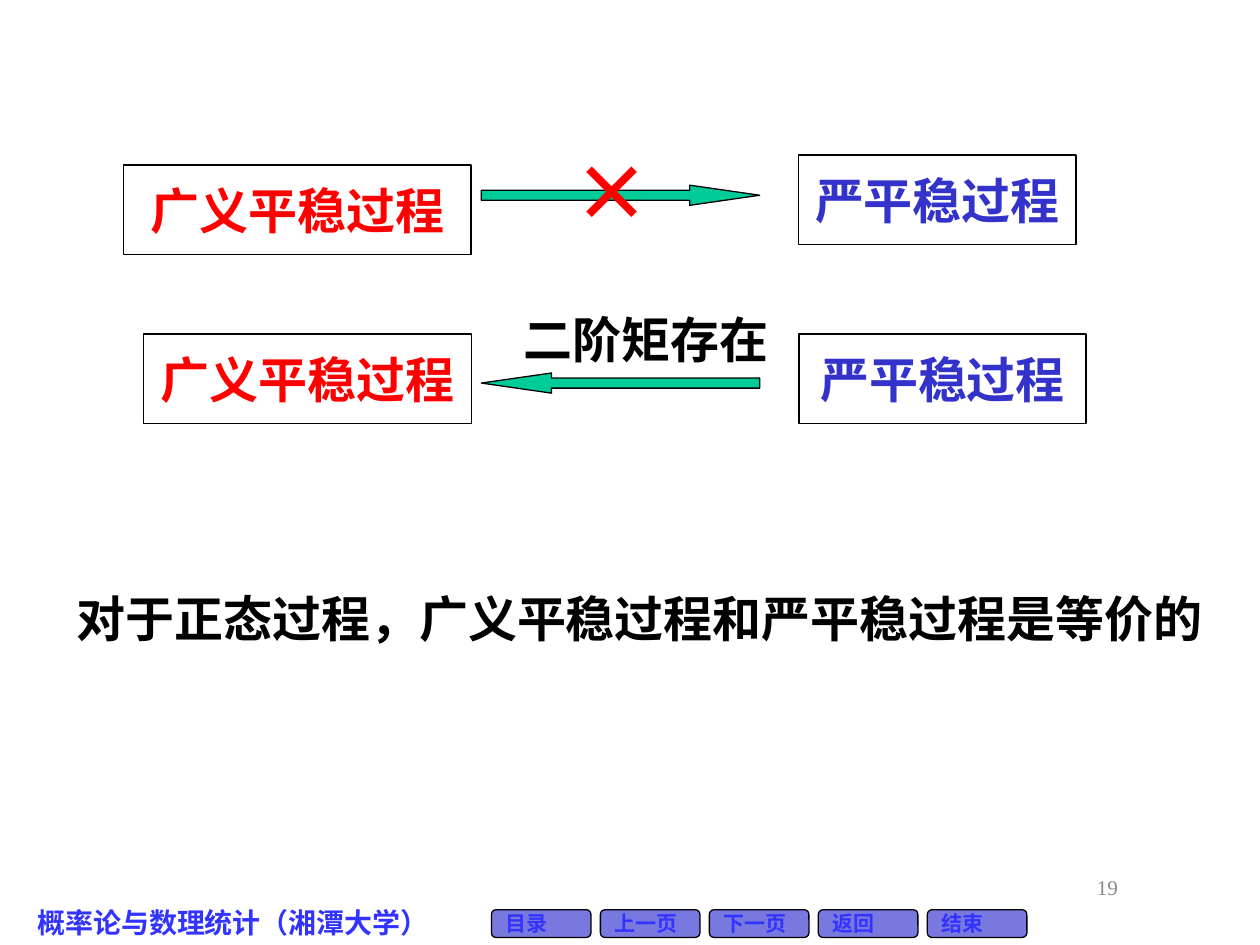
from lxml import etree
from pptx import Presentation
from pptx.dml.color import RGBColor
from pptx.enum.shapes import MSO_SHAPE
from pptx.enum.text import MSO_ANCHOR, PP_ALIGN
from pptx.oxml.ns import qn
from pptx.util import Inches, Pt

RECT, ARROW = MSO_SHAPE.RECTANGLE, MSO_SHAPE.RIGHT_ARROW
PILL = MSO_SHAPE.FLOWCHART_ALTERNATE_PROCESS
TOP, MID = MSO_ANCHOR.TOP, MSO_ANCHOR.MIDDLE
LEFT, MIDDLE, RIGHT = PP_ALIGN.LEFT, PP_ALIGN.CENTER, PP_ALIGN.RIGHT

BLACK = RGBColor(0x00, 0x00, 0x00)
RED = RGBColor(0xFF, 0x00, 0x00)
BLUE = RGBColor(0x33, 0x33, 0xCC)
LINK = RGBColor(0x33, 0x33, 0xFF)
LILAC = RGBColor(0x78, 0x78, 0xDE)
GREEN = RGBColor(0x00, 0xCC, 0x99)
GRAY = RGBColor(0x89, 0x89, 0x89)
HAN, ROMAN = "Noto Sans CJK SC", "Times New Roman"

# Content: places are left, top, width, height in inches
WIDE, STRICT = "广义平稳过程", "严平稳过程"
BOXES = [
    (WIDE, RED, (0.98, 1.31, 2.76, 0.71)),
    (STRICT, BLUE, (6.34, 1.23, 2.2, 0.71)),
    (WIDE, RED, (1.14, 2.65, 2.6, 0.71)),
    (STRICT, BLUE, (6.34, 2.65, 2.28, 0.71)),
]
ARROWS = [(1.47, 0), (2.96, 180)]  # top, turn
NOTES = [
    ("×", 44, RED, (4.45, 1.1, 0.71, 0.84)),
    ("二阶矩存在", 28, BLACK, (4.06, 2.41, 2.44, 0.57)),
    ("对于正态过程，广义平稳过程和严平稳过程是等价的", 28, BLACK,
     (0.51, 4.62, 9.29, 0.57)),
    ("概率论与数理统计（湘潭大学）", 16, LINK, (0.2, 7.14, 4.06, 0.37)),
]
NAV = ["目录", "上一页", "下一页", "返回", "结束"]
NAV_LEFT, NAV_STEP = 3.9, 0.865
PAGE = "19"


def write(shape, text, size, color, align=LEFT, anchor=TOP, wrap=True,
          face=HAN, bold=True):
    frame = shape.text_frame
    frame.word_wrap, frame.vertical_anchor = wrap, anchor
    para = frame.paragraphs[0]
    para.alignment = align
    run = para.add_run()
    run.text = text
    run.font.color.rgb = color
    for key, val in {"size": Pt(size), "bold": bold, "name": face}.items():
        setattr(run.font, key, val)
    # East Asian glyphs take their own font entry
    east = etree.SubElement(run.font._element, qn("a:ea"))
    east.set("typeface", face)


def draw(kind, place, fill=None):
    shape = slide.shapes.add_shape(kind, *map(Inches, place))
    shape.shadow.inherit = False
    if fill is None:
        shape.fill.background()
    else:
        shape.fill.solid()
        shape.fill.fore_color.rgb = fill
    shape.line.color.rgb = BLACK
    shape.line.width = Pt(0.75)
    return shape


def label(place, *args, **form):
    write(slide.shapes.add_textbox(*map(Inches, place)), *args, **form)


deck = Presentation()
deck.slide_width, deck.slide_height = Inches(10), Inches(7.5)
slide = deck.slides.add_slide(deck.slide_layouts[6])

# Navigation buttons
for col, text in enumerate(NAV):
    pill = draw(PILL, (NAV_LEFT + col * NAV_STEP, 7.22, 0.79, 0.22), LILAC)
    write(pill, text, 12, LINK, anchor=MID, wrap=False)

# Process boxes
for text, color, place in BOXES:
    write(draw(RECT, place), text, 28, color, MIDDLE, MID, wrap=False)

# Implication arrows
for top, turn in ARROWS:
    arrow = draw(ARROW, (3.82, top, 2.21, 0.16), GREEN)
    arrow.adjustments[0], arrow.adjustments[1] = 0.5, 3.48
    arrow.rotation = turn

# Cross, condition, conclusion and course name
for text, size, color, place in NOTES:
    label(place, text, size, color)

# Page number
label((6.89, 6.79, 2.08, 0.5), PAGE, 12, GRAY, RIGHT, MID,
      face=ROMAN, bold=False)

deck.save("out.pptx")
